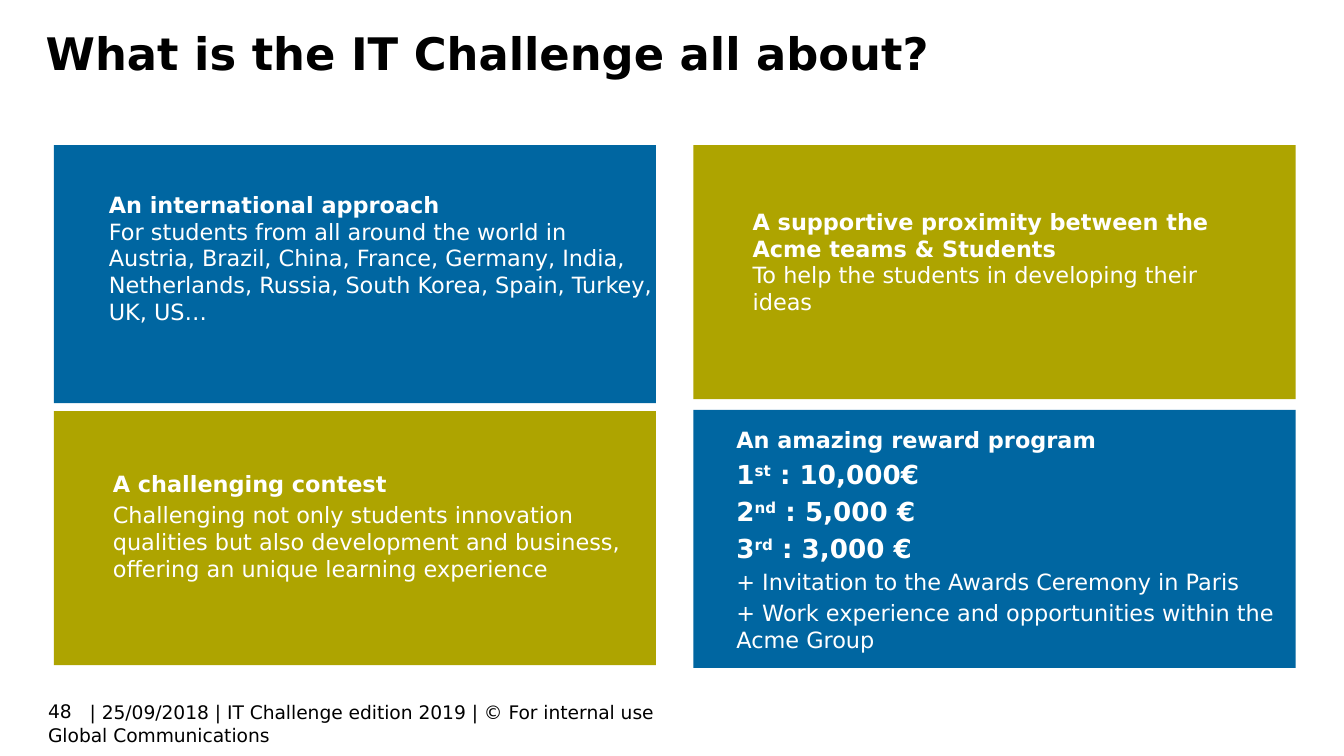
from pptx import Presentation
from pptx.dml.color import RGBColor
from pptx.enum.shapes import MSO_SHAPE
from pptx.enum.text import MSO_ANCHOR, MSO_AUTO_SIZE, PP_ALIGN
from pptx.util import Pt

RECT = MSO_SHAPE.RECTANGLE
TOP, MIDDLE = MSO_ANCHOR.TOP, MSO_ANCHOR.MIDDLE
LEFT = PP_ALIGN.LEFT
NO_FIT = MSO_AUTO_SIZE.NONE
FONT = "DejaVu Sans"
COLORS = {"blue": "0066A1", "olive": "AEA400", "white": "FFFFFF", "black": "000000"}


def color(name):
    return RGBColor.from_string(COLORS[name])


def style(para, size, hue, bold=False):
    font = para.font
    font.name, font.size, font.bold = FONT, Pt(size), bold
    font.color.rgb = color(hue)


def add_text(slide, box, inset=7.2, anchor=TOP):
    frame = slide.shapes.add_textbox(*map(Pt, box)).text_frame
    frame.word_wrap = True
    frame.margin_left = Pt(inset)
    frame.vertical_anchor = anchor
    return frame


def add_title(slide, box, text):
    title = slide.shapes.title
    title.left, title.top, title.width, title.height = map(Pt, box)
    frame = title.text_frame
    frame.text = text
    frame.auto_size = NO_FIT
    frame.vertical_anchor = TOP
    para = frame.paragraphs[0]
    para.alignment = LEFT
    style(para, 24, "black", True)


def add_panel(slide, box, hue, inner, paras):
    """Draw a filled panel; inner is the text box relative to the panel.

    Each paragraph is (size, runs); a run is (text, bold, raised), None a break.
    """
    left, top = box[:2]
    rect = slide.shapes.add_shape(RECT, *map(Pt, box))
    rect.shadow.inherit = False
    rect.fill.solid()
    rect.fill.fore_color.rgb = color(hue)
    rect.line.fill.background()

    dx, dy, width, height = inner
    frame = add_text(slide, (left + dx, top + dy, width, height), inset=14.4)
    for i, (size, runs) in enumerate(paras):
        para = frame.add_paragraph() if i else frame.paragraphs[0]
        if i:
            para.space_before = Pt(size * 0.2)
        style(para, size, "white")
        for part in runs:
            if part is None:
                para.add_line_break()
                continue
            text, bold, raised = part
            run = para.add_run()
            run.text = text
            run.font.bold = bold
            if raised:
                run.font._element.set("baseline", "30000")


def add_footer(slide, left, top):
    frame = add_text(slide, (left, top, 360, 31.7))
    lines = ("| 25/09/2018 | IT Challenge edition 2019 | © For internal use",
             "Global Communications")
    frame.text = "\n".join(lines)
    first = frame.paragraphs[0]
    first._p.get_or_add_pPr().set("indent", str(Pt(22.25)))
    for para in frame.paragraphs:
        style(para, 10, "black")

    page = add_text(slide, (left, top, 34.6, 17.3), anchor=MIDDLE)
    page.text = "48"
    style(page.paragraphs[0], 10, "black")


def strong(text):
    return text, True, False


def plain(text):
    return text, False, False


def prize(rank, suffix, sum_):
    return 14, [strong(rank), (suffix, True, True), strong(" : " + sum_)]


def main():
    deck = Presentation()
    deck.slide_width, deck.slide_height = Pt(720), Pt(405)
    slide = deck.slides.add_slide(deck.slide_layouts[5])
    add_title(slide, (17.3, 10.1, 689, 56.9), "What is the IT Challenge all about?")

    col1, col2, row, wide = 28.8, 371.5, 77.8, 322.6
    tall, short = 138.2, 136.1
    add_panel(slide, (col1, row, wide, tall), "blue", (15.1, 20.9, 316.1, 109.4), [
        (12, [strong("An international approach"), None,
              plain("For students from all around the world in Austria, Brazil, "
                    "China, France, Germany, India, Netherlands, Russia, "
                    "South Korea, Spain, Turkey, UK, US…")]),
    ])
    add_panel(slide, (col2, row, wide, short), "olive", (17.3, 30, 288.7, 100), [
        (12, [strong("A supportive proximity between the Acme teams & Students"), None,
              plain("To help the students in developing their ideas")]),
    ])
    add_panel(slide, (col1, 220.3, wide, short), "olive", (17.3, 27.8, 297.4, 78), [
        (12, [strong("A challenging contest")]),
        (12, [plain("Challenging not only students innovation qualities but also "
                    "development and business, offering an unique learning "
                    "experience")]),
    ])
    add_panel(slide, (col2, 219.6, wide, tall), "blue", (8.6, 5.4, 331.9, 130), [
        (12, [strong("An amazing reward program")]),
        prize("1", "st", "10,000€"),
        prize("2", "nd", "5,000 €"),
        prize("3", "rd", "3,000 €"),
        (12, [plain("+ Invitation to the Awards Ceremony in Paris")]),
        (12, [plain("+ Work experience and opportunities within the Acme Group")]),
    ])
    add_footer(slide, 18.7, 372.2)
    deck.save("out.pptx")


if __name__ == "__main__":
    main()
